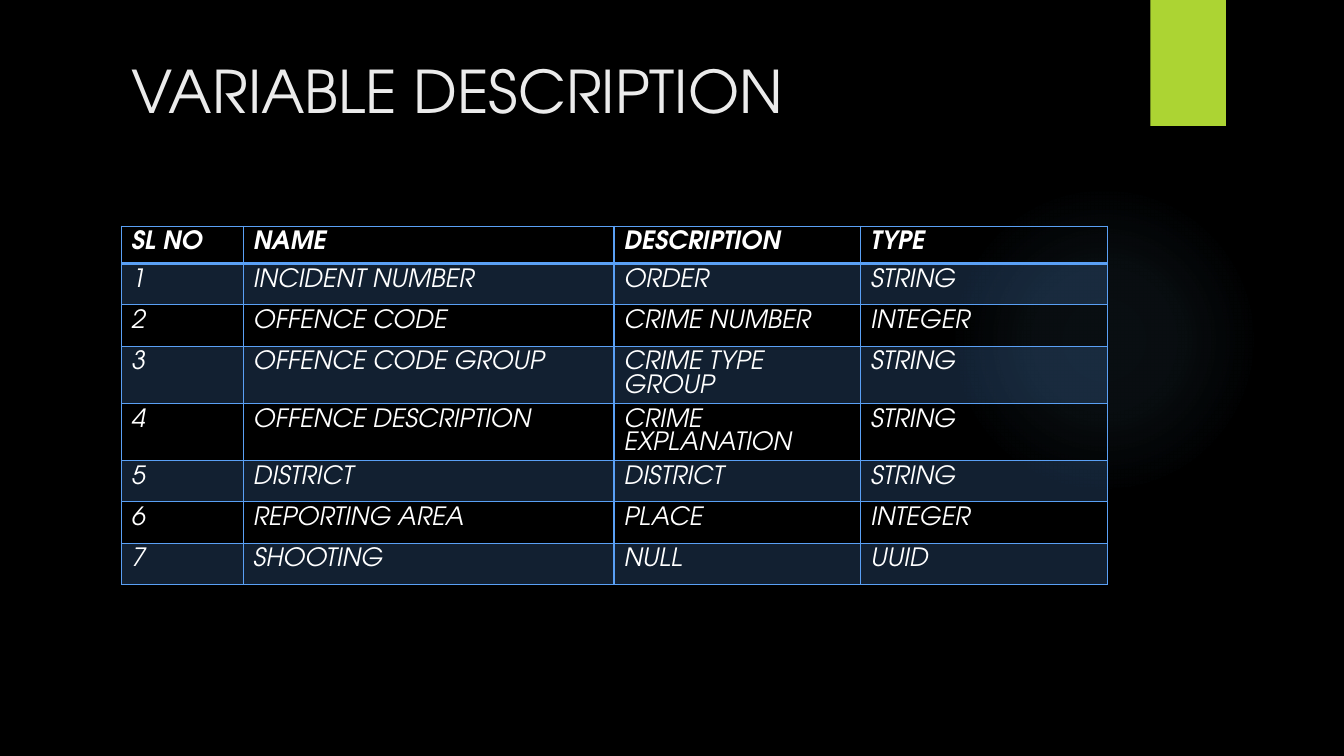
from lxml.etree import SubElement
from pptx import Presentation
from pptx.dml.color import RGBColor
from pptx.enum.shapes import MSO_SHAPE
from pptx.enum.text import MSO_ANCHOR, PP_ALIGN
from pptx.oxml import parse_xml
from pptx.oxml.ns import nsdecls, qn
from pptx.util import Inches, Pt

BLACK = RGBColor(0x00, 0x00, 0x00)
WHITE = RGBColor(0xFF, 0xFF, 0xFF)
PALE = RGBColor(0xEB, 0xEB, 0xEB)
LIME = RGBColor(0xAC, 0xD4, 0x33)
GLOW = RGBColor(0x7A, 0xC4, 0xF0)
BLUE = RGBColor(0x5A, 0xA0, 0xF5)

FONT = "TeX Gyre Adventor"
GRID = Inches(0.5)
SLIDE_SIZE = (26.66, 15)
GLOW_BOX = (18.82, 3.66, 6.16, 6.16)
TAB_BOX = (22.82, 0, 1.5, 2.5)
TITLE_BOX = (2.41, 0.98, 19.58, 3.06)
TABLE_BOX = (2.41, 4.49, 19.56, 6.48)

COLUMN_SHARES = (1.21, 3.68, 2.45, 2.45)
HEADER_HEIGHT = 0.74
GLOW_STOPS = ((0, 7), (36, 6), (69, 0))
BAND_OPACITY = 20

VARIABLES = (
    ("SL NO", "NAME", "DESCRIPTION", "TYPE"),
    ("1", "INCIDENT NUMBER", "ORDER", "STRING"),
    ("2", "OFFENCE CODE", "CRIME NUMBER", "INTEGER"),
    ("3", "OFFENCE CODE GROUP", "CRIME TYPE GROUP", "STRING"),
    ("4", "OFFENCE DESCRIPTION", "CRIME EXPLANATION", "STRING"),
    ("5", "DISTRICT", "DISTRICT", "STRING"),
    ("6", "REPORTING AREA", "PLACE", "INTEGER"),
    ("7", "SHOOTING", "NULL", "UUID"),
)


def on_grid(box):
    return [round(length * GRID) for length in box]


def apply_format(target, values):
    for name, value in values.items():
        setattr(target, name, value)


def write(paragraph, text, color, **font_format):
    paragraph.line_spacing = 1.0
    run = paragraph.add_run()
    run.text = text
    apply_format(run.font, {"name": FONT, **font_format})
    run.font.color.rgb = color


def add_plain_shape(slide, preset, box):
    plain = slide.shapes.add_shape(preset, *on_grid(box))
    plain.shadow.inherit = False
    plain.line.fill.background()
    return plain


def add_glow(slide, box):
    glow = add_plain_shape(slide, MSO_SHAPE.OVAL, box)
    glow.fill.background()
    stops = "".join(
        f'<a:gs pos="{position * 1000}"><a:srgbClr val="{GLOW}">'
        f'<a:alpha val="{opacity * 1000}"/></a:srgbClr></a:gs>'
        for position, opacity in GLOW_STOPS
    )
    gradient = parse_xml(
        f'<a:gradFill {nsdecls("a")}><a:gsLst>{stops}</a:gsLst><a:path path="circle">'
        '<a:fillToRect l="50000" t="50000" r="50000" b="50000"/></a:path></a:gradFill>'
    )
    properties = glow.element.spPr
    properties.replace(properties.find(qn("a:noFill")), gradient)


def add_corner_tab(slide, box):
    tab = add_plain_shape(slide, MSO_SHAPE.RECTANGLE, box)
    tab.fill.solid()
    tab.fill.fore_color.rgb = LIME


def add_title(slide, box):
    title = slide.shapes.title
    left, top, width, height = on_grid(box)
    apply_format(title, {"left": left, "top": top, "width": width, "height": height})
    apply_format(title.text_frame, {"word_wrap": True, "vertical_anchor": MSO_ANCHOR.TOP})
    heading = title.text_frame.paragraphs[0]
    heading.alignment = PP_ALIGN.LEFT
    write(heading, "VARIABLE DESCRIPTION", PALE, size=Pt(42))
    title.element.getparent().append(title.element)


def add_borders(cell, widths):
    properties = cell._tc.get_or_add_tcPr()
    for index, (side, width) in enumerate(widths.items()):
        border = parse_xml(
            f'<a:ln{side} {nsdecls("a")} w="{Pt(width)}"><a:solidFill>'
            f'<a:srgbClr val="{BLUE}"/></a:solidFill></a:ln{side}>'
        )
        properties.insert(index, border)


def fill_band(cell):
    cell.fill.solid()
    cell.fill.fore_color.rgb = BLUE
    tint = cell._tc.tcPr.find(qn("a:solidFill")).find(qn("a:srgbClr"))
    SubElement(tint, qn("a:alpha"), val=str(BAND_OPACITY * 1000))


def add_variable_table(slide, box):
    variables = slide.shapes.add_table(
        len(VARIABLES), len(COLUMN_SHARES), *on_grid(box)
    ).table
    variables.horz_banding = False
    for column, share in zip(variables.columns, COLUMN_SHARES):
        column.width = round(box[2] * GRID * share / sum(COLUMN_SHARES))
    body_height = (box[3] - HEADER_HEIGHT) / (len(VARIABLES) - 1)
    for row_index, values in enumerate(VARIABLES):
        is_header = row_index == 0
        row = variables.rows[row_index]
        row.height = round((HEADER_HEIGHT if is_header else body_height) * GRID)
        for cell, value in zip(row.cells, values):
            if row_index % 2:
                fill_band(cell)
            else:
                cell.fill.background()
            top = 2 if row_index == 1 else 1
            bottom = 2 if is_header else 1
            add_borders(cell, {"L": 1, "R": 1, "T": top, "B": bottom})
            paragraph = cell.text_frame.paragraphs[0]
            write(paragraph, value, WHITE, size=Pt(18), bold=is_header, italic=True)


def build_variable_slide(deck):
    slide = deck.slides.add_slide(deck.slide_layouts[5])
    slide.background.fill.solid()
    slide.background.fill.fore_color.rgb = BLACK
    add_glow(slide, GLOW_BOX)
    add_corner_tab(slide, TAB_BOX)
    add_title(slide, TITLE_BOX)
    add_variable_table(slide, TABLE_BOX)


def main():
    deck = Presentation()
    deck.slide_width, deck.slide_height = on_grid(SLIDE_SIZE)
    build_variable_slide(deck)
    deck.save("out.pptx")


if __name__ == "__main__":
    main()
